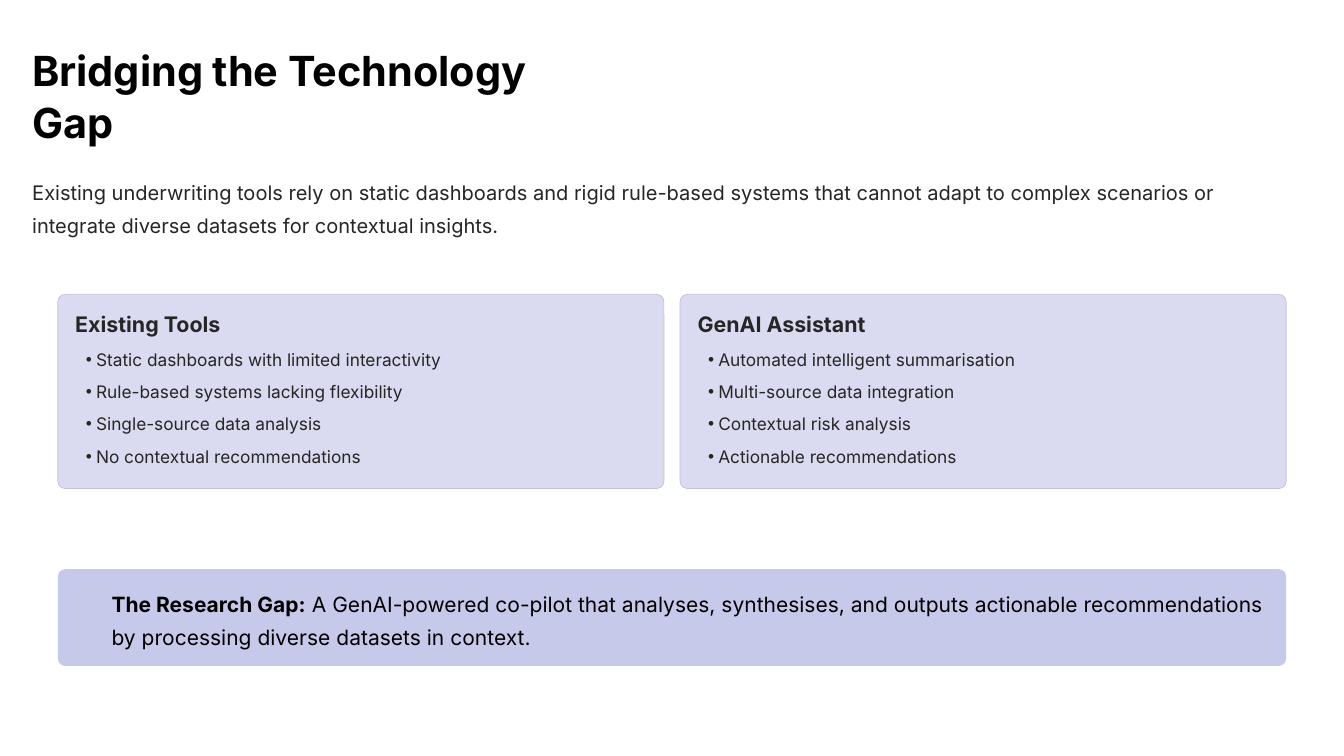
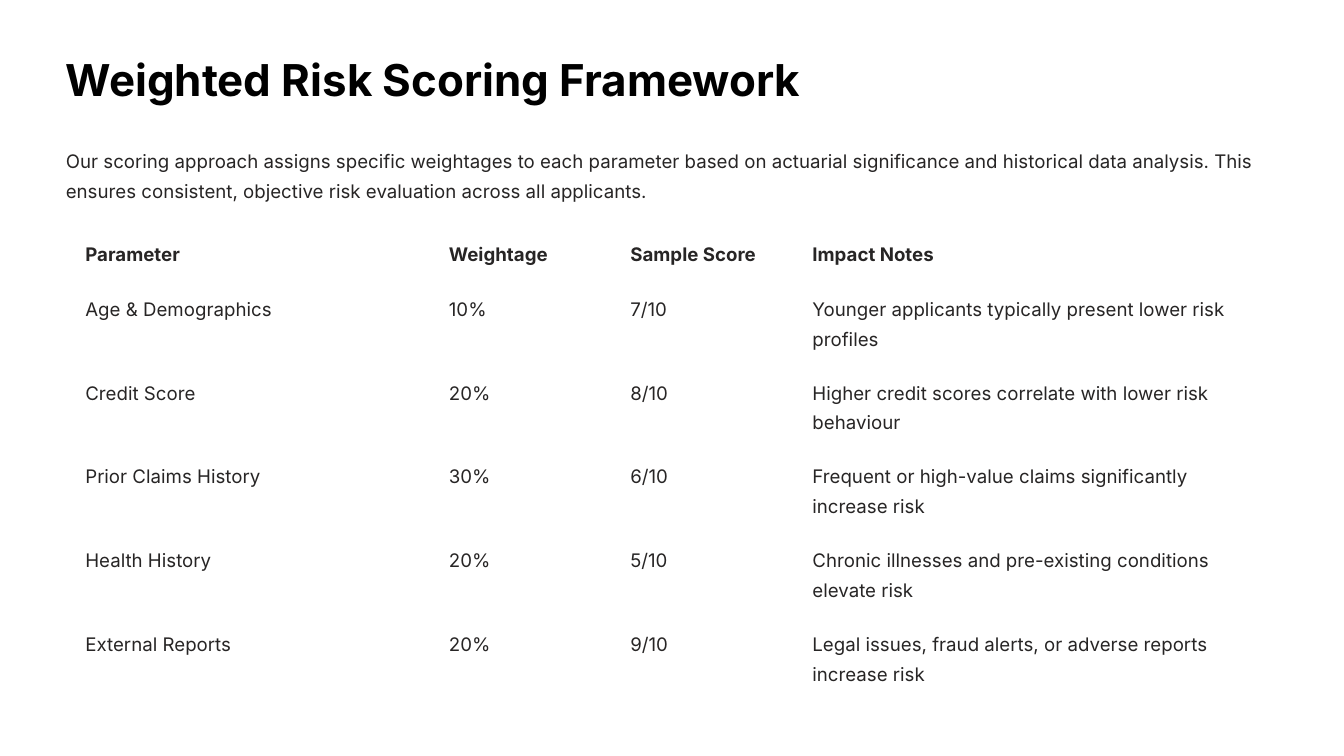
from lxml import etree
from pptx import Presentation
from pptx.dml.color import RGBColor
from pptx.enum.shapes import MSO_SHAPE
from pptx.enum.text import MSO_ANCHOR
from pptx.oxml.ns import qn
from pptx.util import Inches, Pt

RECTANGLE = MSO_SHAPE.RECTANGLE
ROUNDED = MSO_SHAPE.ROUNDED_RECTANGLE
TOP = MSO_ANCHOR.TOP
FONT = "Inter"
BLACK, INK, WHITE, BACKDROP = "000000", "272525", "FFFFFF", "F6F4F4"
CARD, CARD_EDGE, BANNER = "DADBF1", "C0C1D7", "C7C9EA"
SLIDE_WIDTH, SLIDE_HEIGHT = 20, 11.25
RADIUS = 0.11

COMPARISON = [
    ("Existing Tools", [
        "Static dashboards with limited interactivity",
        "Rule-based systems lacking flexibility",
        "Single-source data analysis",
        "No contextual recommendations",
    ]),
    ("GenAI Assistant", [
        "Automated intelligent summarisation",
        "Multi-source data integration",
        "Contextual risk analysis",
        "Actionable recommendations",
    ]),
]
SCORING = [
    ("Parameter", "Weightage", "Sample Score", "Impact Notes"),
    ("Age & Demographics", "10%", "7/10",
     "Younger applicants typically present lower risk profiles"),
    ("Credit Score", "20%", "8/10",
     "Higher credit scores correlate with lower risk behaviour"),
    ("Prior Claims History", "30%", "6/10",
     "Frequent or high-value claims significantly increase risk"),
    ("Health History", "20%", "5/10",
     "Chronic illnesses and pre-existing conditions elevate risk"),
    ("External Reports", "20%", "9/10",
     "Legal issues, fraud alerts, or adverse reports increase risk"),
]


def rgb(value):
    """Turn a hex string into a colour."""
    return RGBColor.from_string(value)


def add_bullet(paragraph):
    """Give a paragraph a hanging round bullet."""
    properties = paragraph._p.get_or_add_pPr()
    properties.set("marL", str(Inches(0.31)))
    properties.set("indent", str(Inches(-0.15)))
    etree.SubElement(properties, qn("a:buFont")).set("typeface", "Arial")
    etree.SubElement(properties, qn("a:buChar")).set("char", "•")


def write(frame, *lines, size, leading, color=INK, bold=False, lead="",
          bullets=False, gap=0):
    """Fill a text frame with lines, the first after an optional bold lead."""
    frame.word_wrap = True
    for index, line in enumerate(lines):
        paragraph = frame.add_paragraph() if index else frame.paragraphs[0]
        if bullets:
            add_bullet(paragraph)
        paragraph.line_spacing = Pt(leading)
        if index:
            paragraph.space_before = Pt(gap)
        runs = [(line, bold)]
        if lead and not index:
            runs.insert(0, (lead, True))
        for words, strong in runs:
            run = paragraph.add_run()
            run.text = words
            run.font.name = FONT
            run.font.size = Pt(size)
            run.font.bold = strong
            run.font.color.rgb = rgb(color)


def add_text(slide, box, *lines, **style):
    """Place a text box without margins."""
    frame = slide.shapes.add_textbox(*map(Inches, box)).text_frame
    frame.margin_left = frame.margin_right = 0
    frame.margin_top = frame.margin_bottom = 0
    frame.vertical_anchor = TOP
    write(frame, *lines, **style)


def add_panel(slide, box, fill, edge=None, radius=RADIUS):
    """Place a panel with equal corners at any size."""
    panel = slide.shapes.add_shape(ROUNDED if radius else RECTANGLE, *map(Inches, box))
    if radius:
        panel.adjustments[0] = radius / min(box[2:])
    panel.shadow.inherit = False
    panel.fill.solid()
    panel.fill.fore_color.rgb = rgb(fill)
    if edge:
        panel.line.color.rgb = rgb(edge)
        panel.line.width = Pt(0.75)
    else:
        panel.line.fill.background()


def new_slide(deck):
    """Add a blank slide with a white sheet over the backdrop."""
    slide = deck.slides.add_slide(deck.slide_layouts[6])
    slide.background.fill.solid()
    slide.background.fill.fore_color.rgb = rgb(BACKDROP)
    add_panel(slide, (0, 0, SLIDE_WIDTH, SLIDE_HEIGHT), WHITE, radius=0)
    return slide


def add_title(slide, box, title, size, leading):
    """Place the slide title."""
    add_text(slide, box, title, size=size, leading=leading, color=BLACK, bold=True)


def add_card(slide, box, heading, points):
    """Place a card with a heading and bulleted points."""
    left, top, width, _ = box
    inner_left, inner_width = left + 0.26, width - 0.52
    add_panel(slide, box, CARD, CARD_EDGE)
    add_text(slide, (inner_left, top + 0.23, inner_width, 0.4), heading,
             size=22.9, leading=28.8, bold=True)
    add_text(slide, (inner_left, top + 0.71, inner_width, 1.82), *points,
             size=18.5, leading=29.7, bullets=True, gap=4.9)


def add_comparison(slide, box, gap):
    """Spread the comparison cards evenly across a box."""
    left, top, width, height = box
    card_width = (width - gap * (len(COMPARISON) - 1)) / len(COMPARISON)
    for index, (heading, points) in enumerate(COMPARISON):
        card_left = left + index * (card_width + gap)
        add_card(slide, (card_left, top, card_width, height), heading, points)


def add_banner(slide, box, lead, message):
    """Place the closing banner with its bold lead."""
    left, top, width, height = box
    add_panel(slide, box, BANNER)
    add_text(slide, (left + 0.8, top + 0.2, width - 1.04, height - 0.46), message,
             size=22.5, leading=36.2, color=BLACK, lead=lead)


def add_scoring(slide, box, widths, header_height):
    """Place the scoring table without fills or bands."""
    row_height = (box[3] - header_height) / (len(SCORING) - 1)
    table = slide.shapes.add_table(len(SCORING), len(widths), *map(Inches, box)).table
    table.horz_banding = False
    for column, width in zip(table.columns, widths):
        column.width = Inches(width)
    for index, entries in enumerate(SCORING):
        table.rows[index].height = Inches(row_height if index else header_height)
        for cell, entry in zip(table.rows[index].cells, entries):
            cell.fill.background()
            cell.vertical_anchor = TOP
            cell.margin_left = cell.margin_right = Inches(0.28)
            cell.margin_top, cell.margin_bottom = Inches(0.18), Inches(0.1)
            write(cell.text_frame, entry, size=20, leading=31.9, bold=index == 0)


def build_gap_slide(deck):
    """Build the slide comparing existing tools with the assistant."""
    slide = new_slide(deck)
    add_title(slide, (0.48, 0.65, 8.6, 1.53), "Bridging the Technology Gap", 44.4, 55)
    add_text(slide, (0.48, 2.57, 18.27, 0.93),
             "Existing underwriting tools rely on static dashboards and rigid "
             "rule-based systems that cannot adapt to complex scenarios or "
             "integrate diverse datasets for contextual insights.",
             size=21.5, leading=34.5)
    add_comparison(slide, (0.86, 4.38, 18.28, 2.89), 0.24)
    add_banner(slide, (0.86, 8.47, 18.28, 1.44), "The Research Gap:",
               " A GenAI-powered co-pilot that analyses, synthesises, and outputs "
               "actionable recommendations by processing diverse datasets in context.")


def build_scoring_slide(deck):
    """Build the slide with the weighted scoring table."""
    slide = new_slide(deck)
    add_title(slide, (0.98, 0.75, 12.8, 0.8), "Weighted Risk Scoring Framework", 47, 58.8)
    add_text(slide, (0.98, 2.12, 18.04, 0.98),
             "Our scoring approach assigns specific weightages to each parameter "
             "based on actuarial significance and historical data analysis. This "
             "ensures consistent, objective risk evaluation across all applicants.",
             size=20, leading=31.9)
    add_scoring(slide, (0.99, 3.34, 18.03, 7.05), (5.41, 2.7, 2.71, 7.21), 0.81)


def main():
    """Build and save the deck."""
    deck = Presentation()
    deck.slide_width, deck.slide_height = Inches(SLIDE_WIDTH), Inches(SLIDE_HEIGHT)
    build_gap_slide(deck)
    build_scoring_slide(deck)
    deck.save("out.pptx")


if __name__ == "__main__":
    main()
